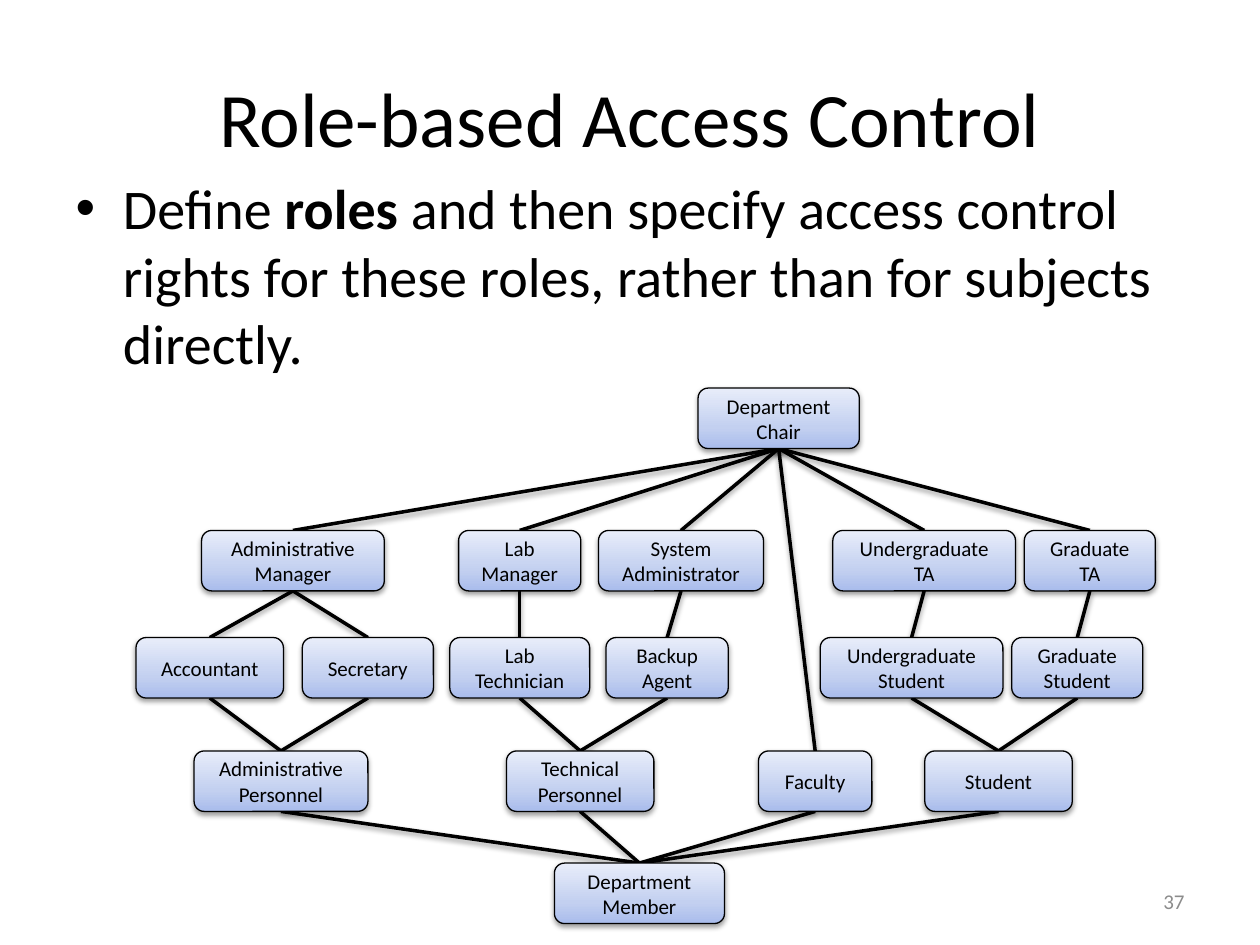
from copy import deepcopy
from dataclasses import dataclass

from lxml import etree
from pptx import Presentation
from pptx import util as u
from pptx.dml.color import RGBColor
from pptx.enum import shapes, text
from pptx.oxml import ns


@dataclass(frozen=True)
class Theme:
    font: str = "Calibri"
    ink: str = "000000"
    muted: str = "8C8C8C"
    gradient: tuple = ((0, "A9BCEC"), (0.35, "C3D0F0"), (1, "E8EDFA"))
    title_size: int = 44
    body_size: int = 32
    small_size: int = 12
    link_width: float = 2
    border_width: float = 0.75


@dataclass(frozen=True)
class Box:
    left: float
    top: float
    width: float
    height: float

    def lengths(self):
        return [u.Inches(n) for n in (self.left, self.top, self.width, self.height)]


THEME = Theme()
ROLE_HEIGHT = 0.48

# Each row: offset from the diagram's top, then (role, left offset, width)
ROLE_ROWS = [
    (0, [("Department Chair", 4.46, 1.28)]),
    (1.13, [("Administrative Manager", 0.52, 1.45), ("Lab Manager", 2.56, 0.97),
            ("System Administrator", 3.67, 1.31), ("Undergraduate TA", 5.53, 1.45),
            ("Graduate TA", 7.05, 1.04)]),
    (1.98, [("Accountant", 0, 1.17), ("Secretary", 1.32, 1.04),
            ("Lab Technician", 2.49, 1.11), ("Backup Agent", 3.73, 0.97),
            ("Undergraduate Student", 5.43, 1.45), ("Graduate Student", 6.95, 1.04)]),
    (2.88, [("Administrative Personnel", 0.46, 1.38), ("Technical Personnel", 2.94, 1.17),
            ("Faculty", 4.94, 0.9), ("Student", 6.26, 1.17)]),
    (3.77, [("Department Member", 3.32, 1.35)]),
]

# Senior role: the roles directly below it
HIERARCHY = {
    "Department Chair": ["Administrative Manager", "Lab Manager", "System Administrator",
                         "Faculty", "Undergraduate TA", "Graduate TA"],
    "Administrative Manager": ["Accountant", "Secretary"],
    "Lab Manager": ["Lab Technician"],
    "System Administrator": ["Backup Agent"],
    "Undergraduate TA": ["Undergraduate Student"],
    "Graduate TA": ["Graduate Student"],
    "Accountant": ["Administrative Personnel"],
    "Secretary": ["Administrative Personnel"],
    "Lab Technician": ["Technical Personnel"],
    "Backup Agent": ["Technical Personnel"],
    "Undergraduate Student": ["Student"],
    "Graduate Student": ["Student"],
    "Administrative Personnel": ["Department Member"],
    "Technical Personnel": ["Department Member"],
    "Faculty": ["Department Member"],
    "Student": ["Department Member"],
}


def place(shape, box):
    shape.left, shape.top, shape.width, shape.height = box.lengths()


def style(para, size, align, color=THEME.ink):
    para.alignment = align
    para.font.name = THEME.font
    para.font.size = u.Pt(size)
    para.font.color.rgb = RGBColor.from_string(color)


def outline(shape, width):
    shape.line.color.rgb = RGBColor.from_string(THEME.ink)
    shape.line.width = u.Pt(width)


def add_shadow(shape):
    """Put a soft downward shadow after the fill and line."""
    effects = etree.SubElement(shape._element.spPr, ns.qn("a:effectLst"))
    shadow = etree.SubElement(effects, ns.qn("a:outerShdw"), blurRad=str(u.Pt(3.1)),
                              dist=str(u.Pt(1.6)), dir="5400000", rotWithShape="0")
    color = etree.SubElement(shadow, ns.qn("a:srgbClr"), val=THEME.ink)
    etree.SubElement(color, ns.qn("a:alpha"), val="38000")


def fill_gradient(shape):
    shape.fill.gradient()
    shape.fill.gradient_angle = 90
    stop_list = shape._element.spPr.find(".//" + ns.qn("a:gsLst"))
    stop_list.insert(1, deepcopy(stop_list[0]))
    for stop, (position, color) in zip(shape.fill.gradient_stops, THEME.gradient):
        stop.position = position
        stop.color.rgb = RGBColor.from_string(color)


def fill_title(page, box):
    title = page.shapes.title
    place(title, box)
    title.text_frame.vertical_anchor = text.MSO_ANCHOR.MIDDLE
    title.text_frame.text = "Role-based Access Control"
    style(title.text_frame.paragraphs[0], THEME.title_size, text.PP_ALIGN.CENTER)


def fill_body(page, box):
    body = page.placeholders[1]
    place(body, box)
    para = body.text_frame.paragraphs[0]
    for words, bold in (("Define ", False), ("roles ", True),
                        ("and then specify access control rights for these roles, "
                         "rather than for subjects directly.", False)):
        span = para.add_run()
        span.text = words
        span.font.bold = bold
    style(para, THEME.body_size, text.PP_ALIGN.LEFT)


def add_page_number(page, box):
    number = page.shapes.add_textbox(*box.lengths())
    frame = number.text_frame
    frame.word_wrap = True
    frame.vertical_anchor = text.MSO_ANCHOR.MIDDLE
    frame.text = "37"
    style(frame.paragraphs[0], THEME.small_size, text.PP_ALIGN.RIGHT, THEME.muted)


def add_link(page):
    link = page.shapes.add_connector(shapes.MSO_CONNECTOR.STRAIGHT, 0, 0, 0, 0)
    outline(link, THEME.link_width)
    add_shadow(link)
    return link


def add_role(page, name, box):
    role = page.shapes.add_shape(shapes.MSO_SHAPE.FLOWCHART_ALTERNATE_PROCESS,
                                 *box.lengths())
    fill_gradient(role)
    outline(role, THEME.border_width)
    add_shadow(role)
    frame = role.text_frame
    frame.word_wrap = True
    frame.vertical_anchor = text.MSO_ANCHOR.MIDDLE
    frame.text = name
    style(frame.paragraphs[0], THEME.small_size, text.PP_ALIGN.CENTER)
    return role


def add_role_diagram(page, box):
    # Links come first so that they lie behind the roles
    links = [(add_link(page), senior, junior)
             for senior, juniors in HIERARCHY.items() for junior in juniors]
    roles = {name: add_role(page, name, Box(box.left + left, box.top + top,
                                            width, ROLE_HEIGHT))
             for top, row in ROLE_ROWS for name, left, width in row}
    # Join bottom centre (site 2) to top centre (site 0)
    for link, senior, junior in links:
        link.begin_connect(roles[senior], 2)
        link.end_connect(roles[junior], 0)


def main():
    deck = Presentation()
    deck.slide_width, deck.slide_height = u.Inches(10), u.Inches(7.5)
    page = deck.slides.add_slide(deck.slide_layouts[1])
    fill_title(page, Box(0.5, 0.3, 9, 1.25))
    fill_body(page, Box(0.5, 1.33, 9, 5.37))
    add_page_number(page, Box(7.17, 6.95, 2.33, 0.4))
    add_role_diagram(page, Box(1.08, 3.08, 8.09, 4.25))
    deck.save("out.pptx")


if __name__ == "__main__":
    main()
